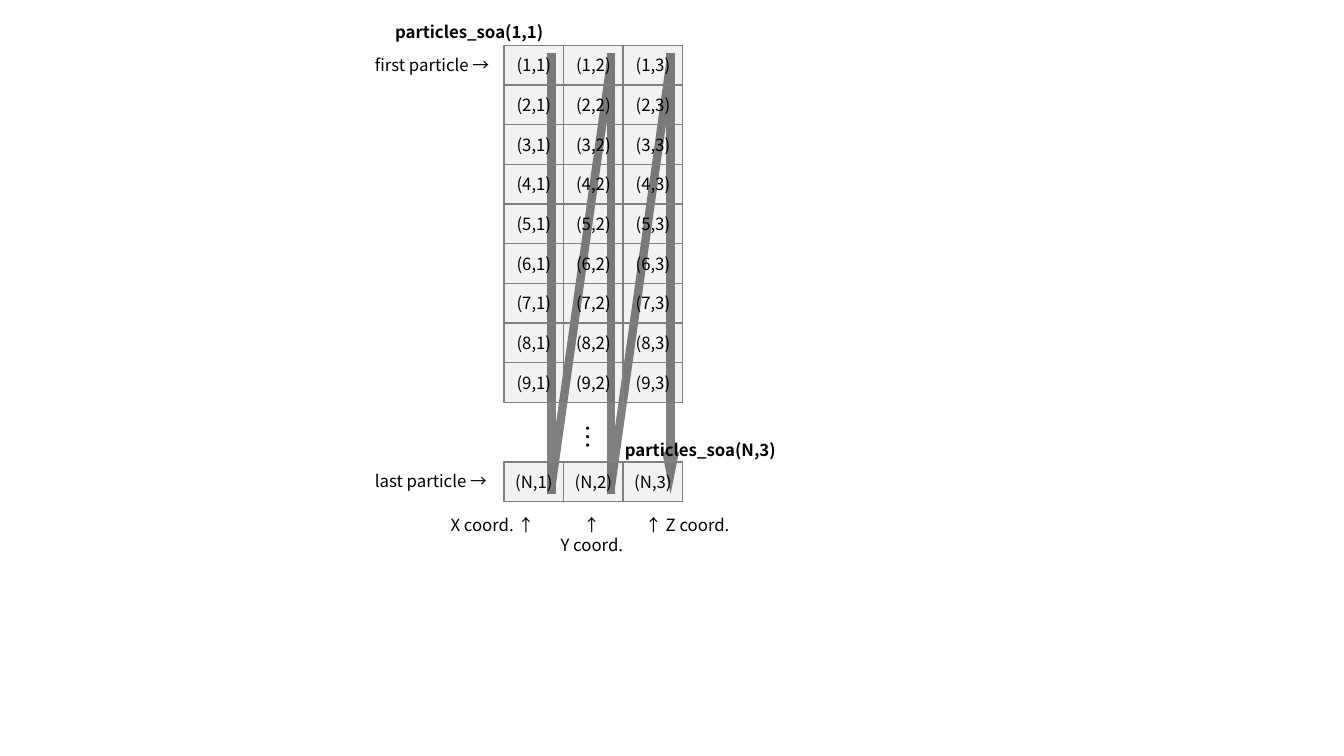
from dataclasses import dataclass

from lxml import etree
from pptx import Presentation, util as u
from pptx.dml import color
from pptx.enum import shapes, text
from pptx.oxml import ns


@dataclass(frozen=True)
class Theme:
    """Colours, font and type sizes of the slide."""
    ink: str = "000000"
    grey: str = "808080"
    font: str = "Noto Sans CJK JP"
    body: int = 12
    dots: int = 18
    border: int = 1
    path_width: int = 6
    cell_opacity: int = 5


THEME = Theme()
ROW = 1 / 2.54
COLUMN = 1.5 * ROW
LEFT, TOP = 5, 0.45
LAST_ROW = 10.5
PATH_LEFT, PATH_TOP, PATH_BOTTOM, PATH_TRIM = 5.47, 0.53, 4.9, 0.08
CELL_FORMAT = {"vertical_anchor": text.MSO_ANCHOR.MIDDLE, "word_wrap": False}
LABEL_FORMAT = CELL_FORMAT | {"auto_size": text.MSO_AUTO_SIZE.SHAPE_TO_FIT_TEXT}
LABELS = [
    ("particles_soa(1,1)", (3.82, 0.17, 1.84, 0.3), True),
    ("particles_soa(N,3)", (6.1, 4.31, 1.86, 0.3), True),
    ("first particle →", (3.62, 0.49, 1.41, 0.3), False),
    ("last particle →", (3.62, 4.62, 1.38, 0.3), False),
    ("X coord. ↑", (4.37, 5.06, 1.12, 0.3), False),
    ("↑ Z coord.", (6.3, 5.06, 1.11, 0.3), False),
]


def apply_format(target, values):
    """Set each named attribute of the target."""
    for name, value in values.items():
        setattr(target, name, value)


def rgb(code):
    """Turn a hex code into a colour."""
    return color.RGBColor.from_string(code)


def inches(*lengths):
    """Convert several lengths to slide units."""
    return [u.Inches(length) for length in lengths]


def write(frame, wording, frame_format, align, size=THEME.body, bold=False):
    """Fill a text frame with one formatted paragraph."""
    apply_format(frame, frame_format)
    frame.text = wording
    paragraph = frame.paragraphs[0]
    paragraph.alignment = align
    for run in paragraph.runs:
        apply_format(run.font, {"name": THEME.font, "size": u.Pt(size), "bold": bold})
        run.font.color.rgb = rgb(THEME.ink)
        east_asian = etree.SubElement(run.font._element, ns.qn("a:ea"))
        east_asian.set("typeface", THEME.font)


def add_cell(row_group, wording, left, top):
    """Add one translucent array cell."""
    cell = row_group.shapes.add_shape(
        shapes.MSO_SHAPE.RECTANGLE, *inches(left, top, COLUMN, ROW))
    cell.shadow.inherit = False
    cell.fill.solid()
    cell.fill.fore_color.rgb = rgb(THEME.ink)
    tint = cell._element.spPr.find(ns.qn("a:solidFill"))[0]
    etree.SubElement(tint, ns.qn("a:alpha")).set("val", str(THEME.cell_opacity * 1000))
    cell.line.color.rgb = rgb(THEME.grey)
    cell.line.width = u.Pt(THEME.border)
    write(cell.text_frame, wording, CELL_FORMAT, text.PP_ALIGN.CENTER)


def add_row(slide, index, position):
    """Add a group of three cells for one particle."""
    row_group = slide.shapes.add_group_shape()
    for column in range(3):
        add_cell(row_group, f"({index},{column + 1})",
                 LEFT + column * COLUMN, TOP + position * ROW)


def add_stroke(path_group, start, end, arrow=False):
    """Add one stroke of the memory path."""
    stroke = path_group.shapes.add_connector(
        shapes.MSO_CONNECTOR.STRAIGHT, *inches(*start, *end))
    stroke.line.color.rgb = rgb(THEME.grey)
    stroke.line.width = u.Pt(THEME.path_width)
    if arrow:
        head = etree.SubElement(stroke.line._get_or_add_ln(), ns.qn("a:tailEnd"))
        for name, value in {"type": "triangle", "w": "sm", "len": "lg"}.items():
            head.set(name, value)
    etree.SubElement(stroke._element.spPr, ns.qn("a:effectLst"))


def add_memory_path(slide):
    """Trace the storage order down each column."""
    path_group = slide.shapes.add_group_shape()
    for column in range(3):
        x = PATH_LEFT + column * COLUMN
        is_last = column == 2
        add_stroke(path_group, (x, PATH_TOP), (x, PATH_BOTTOM), is_last)
        if not is_last:
            add_stroke(path_group, (x, PATH_BOTTOM - PATH_TRIM),
                       (x + COLUMN, PATH_TOP + PATH_TRIM))


def add_label(slide, wording, box, bold=False, size=THEME.body,
              align=text.PP_ALIGN.LEFT):
    """Add a free label and return its text frame."""
    frame = slide.shapes.add_textbox(*inches(*box)).text_frame
    write(frame, wording, LABEL_FORMAT, align, size, bold)
    return frame


def main():
    """Build the array layout slide."""
    deck = Presentation()
    apply_format(deck, {"slide_width": u.Inches(13.33), "slide_height": u.Inches(7.5)})
    slide = deck.slides.add_slide(deck.slide_layouts[6])
    add_memory_path(slide)
    for position in range(9):
        add_row(slide, position + 1, position)
    add_row(slide, "N", LAST_ROW)
    dots = add_label(slide, "…", (5.59, 4.11, 0.5, 0.35), size=THEME.dots)
    dots._txBody.bodyPr.set("vert", "vert")
    for wording, box, bold in LABELS:
        add_label(slide, wording, box, bold)
    add_label(slide, "↑\vY coord.", (5.43, 5.06, 0.88, 0.5),
              align=text.PP_ALIGN.CENTER)
    deck.save("out.pptx")


if __name__ == "__main__":
    main()
